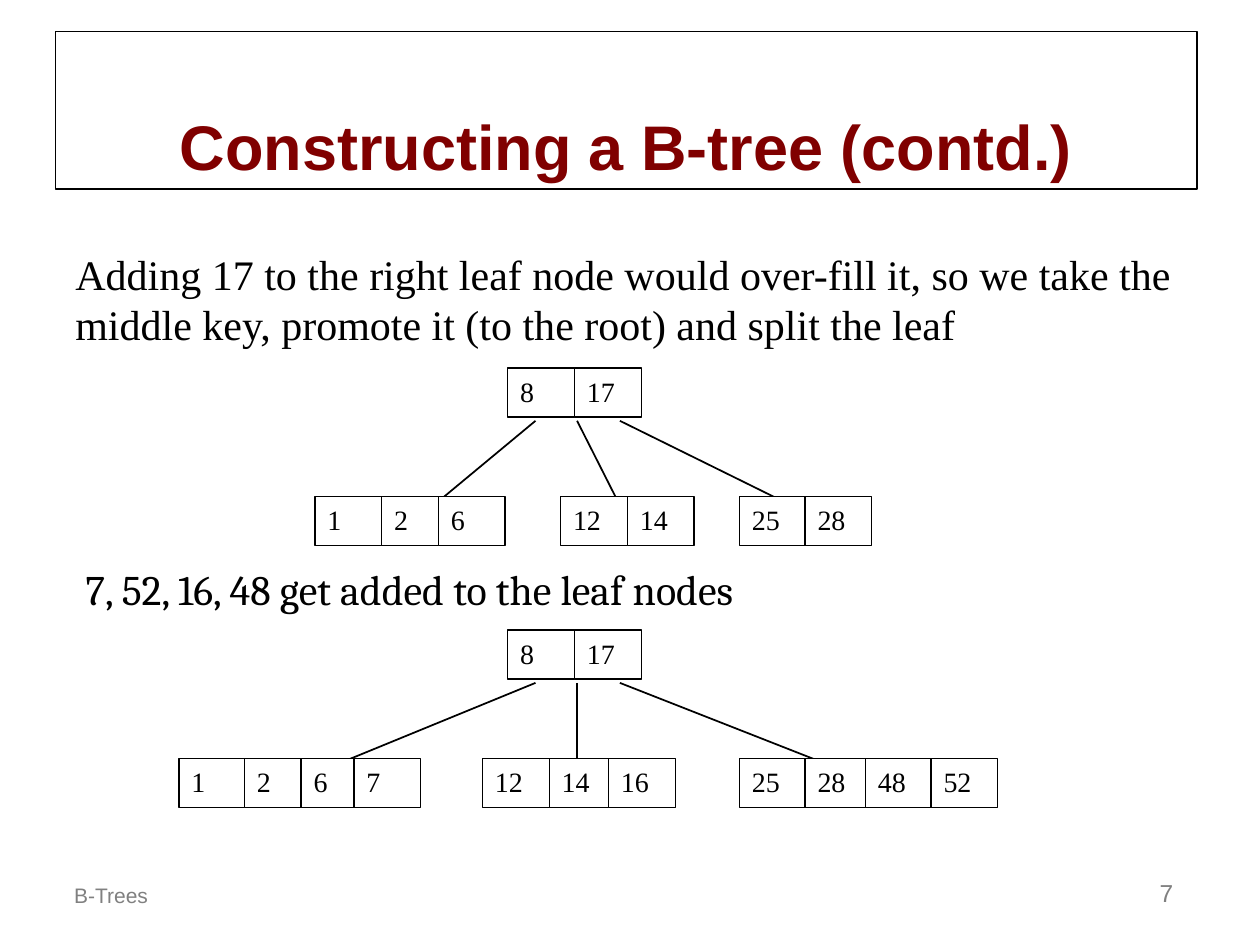
from lxml import etree
from pptx import Presentation
from pptx.dml.color import RGBColor
from pptx.enum.shapes import MSO_CONNECTOR as Connector, MSO_SHAPE as Shape
from pptx.enum.text import MSO_ANCHOR as Anchor, PP_ALIGN as Align
from pptx.oxml.ns import qn
from pptx.util import Inches, Pt

COLORS = {"ink": "000000", "paper": "FFFFFF", "title": "800000", "footer": "808080"}
SERIF = "Times New Roman"
CELL_WIDTH, CELL_HEIGHT = 0.53, 0.39
LEAF_DROP = 1.02
BRANCH_DROP = 0.42
ROOT = [(4.03, "8"), (4.56, "17")]
BRANCH_STARTS = [4.25, 4.58, 4.92]

TITLE = ("Constructing a B-tree (contd.)", (0.44, 0.25, 9.06, 1.25))
TEXTS = [
    ("B-Trees", (0.49, 6.75, 3, 0.5), "Arial", 12, "footer", Align.LEFT, Anchor.BOTTOM),
    ("7", (7.33, 6.75, 2.08, 0.5), "Arial", 14, "footer", Align.RIGHT, Anchor.BOTTOM),
    ("Adding 17 to the right leaf node would over-fill it, so we take the "
     "middle key, promote it (to the root) and split the leaf",
     (0.5, 1.92, 9.17, 0.9), SERIF, 24, "ink", Align.LEFT, Anchor.TOP),
    ("7, 52, 16, 48 get added to the leaf nodes",
     (0.58, 4.42, 9, 0.5), "Cambria", 24, "ink", Align.LEFT, Anchor.TOP),
]
TREES = [
    {"top": 2.92,
     "branch_ends": [(3.25, 4.17), (5, 4.17), (6.42, 4.08)],
     "leaves": [[(2.5, "1"), (3.03, "2"), (3.48, "6")],
                [(4.45, "12"), (4.98, "14")],
                [(5.87, "25"), (6.39, "28")]]},
    {"top": 5,
     "branch_ends": [(2.42, 6.17), (4.58, 6.25), (6.83, 6.17)],
     "leaves": [[(1.42, "1"), (1.94, "2"), (2.39, "6"), (2.81, "7")],
                [(3.83, "12"), (4.36, "14"), (4.83, "16")],
                [(5.87, "25"), (6.39, "28"), (6.87, "48"), (7.39, "52")]]},
]


def color(name):
    return RGBColor.from_string(COLORS[name])


def write(box, text, font, size, ink, align, anchor, bold=False):
    frame = box.text_frame
    frame.text = text
    frame.word_wrap = True
    frame.vertical_anchor = anchor
    para = frame.paragraphs[0]
    para.alignment = align
    span = para.runs[0]
    span.font.name = font
    span.font.size = Pt(size)
    span.font.bold = bold
    span.font.color.rgb = color(ink)


def add_box(page, area):
    box = page.shapes.add_shape(Shape.RECTANGLE, *map(Inches, area))
    box.shadow.inherit = False
    box.fill.solid()
    box.fill.fore_color.rgb = color("paper")
    box.line.color.rgb = color("ink")
    box.line.width = Pt(0.75)
    return box


def add_branch(page, start, end):
    branch = page.shapes.add_connector(Connector.STRAIGHT, *map(Inches, start + end))
    branch.line.color.rgb = color("ink")
    branch.line.width = Pt(1)
    etree.SubElement(branch._element.spPr, qn("a:effectLst"))


def add_node(page, cells, top):
    for left, key in cells:
        box = add_box(page, (left, top, CELL_WIDTH, CELL_HEIGHT))
        write(box, key, SERIF, 16, "ink", Align.LEFT, Anchor.TOP)


def add_tree(page, tree):
    top = tree["top"]
    for start, end in zip(BRANCH_STARTS, tree["branch_ends"]):
        add_branch(page, (start, top + BRANCH_DROP), end)
    add_node(page, ROOT, top)
    for leaf in tree["leaves"]:
        add_node(page, leaf, top + LEAF_DROP)


def main():
    deck = Presentation()
    deck.slide_width, deck.slide_height = Inches(10), Inches(7.5)
    page = deck.slides.add_slide(deck.slide_layouts[6])
    title, area = TITLE
    write(add_box(page, area), title, "Arial", 36, "title",
          Align.CENTER, Anchor.BOTTOM, bold=True)
    for text, area, *style in TEXTS:
        write(page.shapes.add_textbox(*map(Inches, area)), text, *style)
    for tree in TREES:
        add_tree(page, tree)
    deck.save("out.pptx")


if __name__ == "__main__":
    main()
